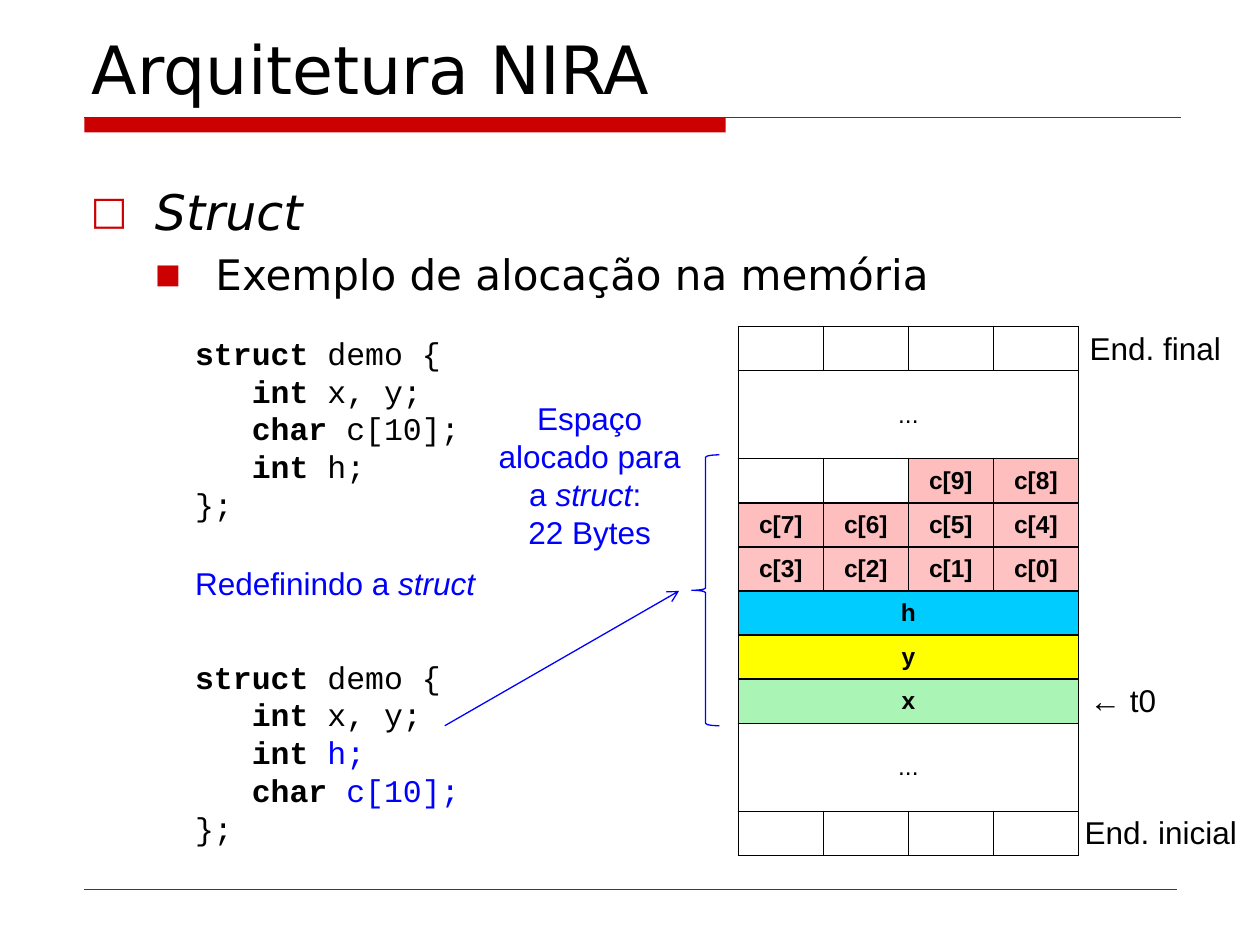
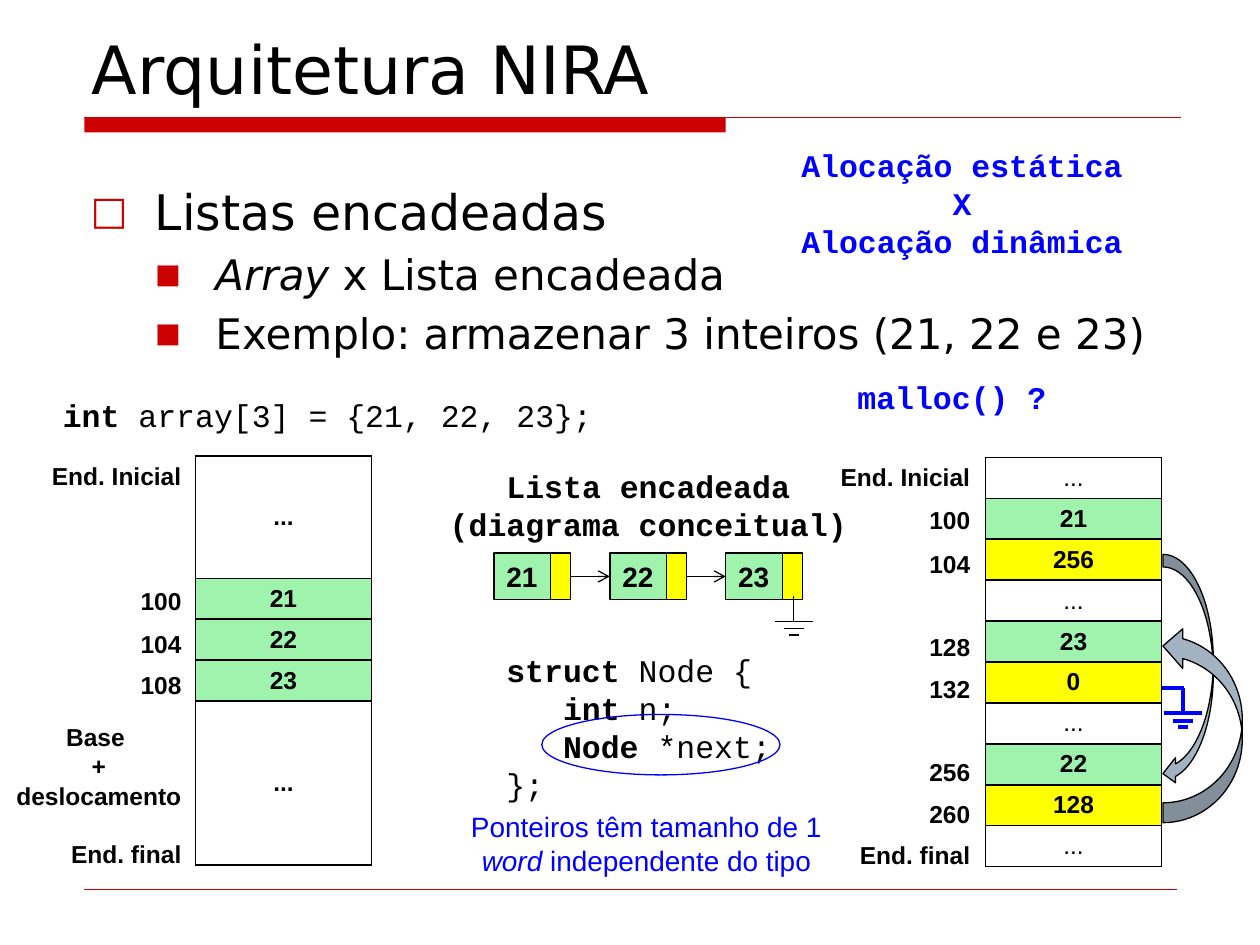
from dataclasses import dataclass

from lxml import etree
from pptx import Presentation
from pptx import util as u
from pptx.dml import color
from pptx.enum import shapes, text
from pptx.oxml import ns

ALIGN = {"l": text.PP_ALIGN.LEFT, "c": text.PP_ALIGN.CENTER, "r": text.PP_ALIGN.RIGHT}
TITLE = "Arquitetura NIRA"


@dataclass(frozen=True)
class Theme:
    # Colours
    ink: str = "000000"
    red: str = "CC0000"
    blue: str = "0000FF"
    yellow: str = "FFFF00"
    cyan: str = "00CCFF"
    mint: str = "AAF4B6"
    green: str = "9FF3AD"
    rose: str = "FFBEBE"
    pink: str = "FFC2C2"
    steel: str = "A3B2C1"
    # Fonts and sizes
    heading: str = "DejaVu Sans"
    sans: str = "Arial"
    mono: str = "Courier New"
    title: int = 38
    levels: tuple = (28, 24)
    main: int = 18
    note: int = 16
    small: int = 14
    # Bullets: character, percent of text, left margin, hanging indent
    bullets: tuple = (("□", 80, 0.51, -0.51), ("■", 65, 0.99, -0.48))
    code_indent: float = 0.45


def inches(*values):
    return [u.Inches(value) for value in values]


def rgb(value):
    return color.RGBColor.from_string(value)


def child(parent, tag, **attributes):
    return etree.SubElement(parent, ns.qn(tag), attributes)


class Page:
    def __init__(self, deck, theme, title, items):
        self.theme = theme
        self.slide = deck.slides.add_slide(deck.slide_layouts[1])
        self.shapes = self.slide.shapes
        # Red band and rules
        self.shape(shapes.MSO_SHAPE.RECTANGLE, (0.67, 0.93, 5.09, 0.12), theme.red, None)
        self.line((0.67, 0.93), (9.37, 0.93), theme.red)
        self.line((0.67, 7.06), (9.34, 7.06), theme.red, 0.25)
        self.heading(title)
        self.bullets(items)

    # Text
    def runs(self, para, parts, **style):
        """Each part is a string or (string, format values)."""
        for part in parts:
            words, extra = (part, {}) if isinstance(part, str) else part
            values = {"name": self.theme.sans, "size": self.theme.main,
                      "color": self.theme.ink, "bold": False, "italic": False,
                      **style, **extra}
            span = para.add_run()
            span.text = words
            span.font.color.rgb = rgb(values.pop("color"))
            values["size"] = u.Pt(values["size"])
            for name, value in values.items():
                setattr(span.font, name, value)

    def frame(self, box, paras, wrap=False, align="l", anchor="TOP", **style):
        frame = box.text_frame
        settings = {"word_wrap": wrap, "auto_size": text.MSO_AUTO_SIZE.NONE,
                    "vertical_anchor": getattr(text.MSO_ANCHOR, anchor)}
        for name, value in settings.items():
            setattr(frame, name, value)
        for index, parts in enumerate(paras):
            para = frame.add_paragraph() if index else frame.paragraphs[0]
            para.alignment = ALIGN[align]
            self.runs(para, parts, **style)
        return frame.paragraphs

    def place(self, box, at):
        box.left, box.top, box.width, box.height = inches(*at)

    def heading(self, title):
        box = self.shapes.title
        self.place(box, (0.63, 0.33, 8.75, 0.58))
        self.frame(box, [[title]], True, anchor="BOTTOM",
                   name=self.theme.heading, size=self.theme.title)

    def bullets(self, items):
        box = self.slide.placeholders[1]
        self.place(box, (0.62, 1.39, 9.25, 1.52))
        paras = self.frame(box, [[] for _ in items], True)
        for index, (para, parts) in enumerate(zip(paras, items)):
            level = min(index, 1)
            mark, percent, margin, hanging = self.theme.bullets[level]
            para.level = level
            self.runs(para, parts, name=self.theme.heading, size=self.theme.levels[level])
            props = para._p.get_or_add_pPr()
            props.set("marL", str(u.Inches(margin)))
            props.set("indent", str(u.Inches(hanging)))
            child(child(props, "a:buClr"), "a:srgbClr", val=self.theme.red)
            child(props, "a:buSzPct", val=str(percent * 1000))
            child(props, "a:buFont", typeface=self.theme.heading)
            child(props, "a:buChar", char=mark)

    def text(self, at, *paras, **options):
        box = self.shapes.add_textbox(*inches(*at))
        return self.frame(box, paras, **options)

    def code(self, at, lines):
        """Each line is depth, keyword, rest and, if wanted, the colour of the rest."""
        parts = [[(keyword, {"bold": True}), (rest, {"color": (tint or [self.theme.ink])[0]})]
                 if keyword else [rest] for _, keyword, rest, *tint in lines]
        paras = self.text(at, *parts, name=self.theme.mono)
        for para, line in zip(paras, lines):
            margin = u.Inches(line[0] * self.theme.code_indent)
            para._p.get_or_add_pPr().set("marL", str(margin))

    def label(self, right, top, words):
        width = {"End. Inicial": 1.23, "End. final": 1.08}.get(words, 0.53)
        self.text((right - width, top, width, 0.34), [words], align="r",
                  size=self.theme.small, bold=True)

    # Shapes and lines
    def shape(self, kind, at, fill=None, line="000000", flip=False):
        box = self.shapes.add_shape(kind, *inches(*at))
        box.shadow.inherit = False
        if fill:
            box.fill.solid()
            box.fill.fore_color.rgb = rgb(fill)
        else:
            box.fill.background()
        if line:
            box.line.color.rgb = rgb(line)
            box.line.width = u.Pt(0.75)
        else:
            box.line.fill.background()
        if flip:
            box._element.spPr.get_or_add_xfrm().set("flipV", "1")
        return box

    def line(self, start, end, tint="000000", width=0.75, arrow=False):
        line = self.shapes.add_connector(shapes.MSO_CONNECTOR.STRAIGHT, *inches(*start, *end))
        line.line.color.rgb = rgb(tint)
        line.line.width = u.Pt(width)
        if arrow:
            child(line.line._get_or_add_ln(), "a:tailEnd", type="arrow")
        child(line._element.spPr, "a:effectLst")
        return line

    def ground(self, x, y, tint, width):
        """Symbol that ends a linked list."""
        self.line((x, y), (x, y + 0.2), tint, width)
        for drop, half in ((0.2, 0.15), (0.26, 0.08), (0.31, 0.04)):
            self.line((x - half, y + drop), (x + half, y + drop), tint, width)

    # Memory maps
    def memory(self, at, columns, rows, bold_dots=False):
        """Each row is height and cells; a cell is (text, fill). A lone cell spans the row."""
        left, top, width = at
        height = sum(row[0] for row in rows)
        table = self.shapes.add_table(len(rows), columns,
                                      *inches(left, top, width, height)).table
        table.first_row = table.horz_banding = False
        for column in table.columns:
            column.width = u.Inches(width / columns)
        for y, (row_height, cells) in enumerate(rows):
            table.rows[y].height = u.Inches(row_height)
            if len(cells) < columns:
                table.cell(y, 0).merge(table.cell(y, columns - 1))
            padded = cells + [("", None)] * (columns - len(cells))
            for x, (words, fill) in enumerate(padded):
                self.cell(table.cell(y, x), words, fill, bold_dots or words != "...")

    def cell(self, cell, words, fill, bold):
        if fill:
            cell.fill.solid()
            cell.fill.fore_color.rgb = rgb(fill)
        else:
            cell.fill.background()
        cell.vertical_anchor = text.MSO_ANCHOR.MIDDLE
        if words:
            para = cell.text_frame.paragraphs[0]
            para.alignment = ALIGN["c"]
            self.runs(para, [words], size=self.theme.small, bold=bold)
        else:
            cell.margin_top = cell.margin_bottom = 0
        props = cell._tc.get_or_add_tcPr()
        for index, side in enumerate(("a:lnL", "a:lnR", "a:lnT", "a:lnB")):
            border = etree.Element(ns.qn(side), w=str(u.Pt(1)))
            child(child(border, "a:solidFill"), "a:srgbClr", val=self.theme.ink)
            props.insert(index, border)


def struct_page(deck, theme):
    italic = {"italic": True}
    page = Page(deck, theme, TITLE,
                [[("Struct", italic)], ["Exemplo de alocação na memória"]])
    # Both declarations
    opening = [(0, "struct", " demo {"), (1, "int", " x, y;")]
    closing = [(0, "", "};")]
    page.code((1.45, 2.6, 2.9, 1.62),
              opening + [(1, "char", " c[10];"), (1, "int", " h;")] + closing)
    page.code((1.45, 5.17, 2.9, 1.62),
              opening + [(1, "int", " h;", theme.blue),
                         (1, "char", " c[10];", theme.blue)] + closing)
    page.text((1.45, 4.43, 2.45, 0.4), ["Redefinindo a ", ("struct", italic)], color=theme.blue)

    # Memory map
    def chars(*indexes):
        return [(f"c[{i}]", theme.rose if i > 5 else theme.pink) for i in indexes]

    blank = ("", None)
    edge, gap = (0.35, [blank] * 4), (0.7, [("...", None)])
    fields = [(0.35, [field]) for field in
              (("h", theme.cyan), ("y", theme.yellow), ("x", theme.mint))]
    page.memory((5.86, 2.59, 2.7), 4, [
        edge, gap, (0.35, [blank] * 2 + chars(9, 8)), (0.35, chars(7, 6, 5, 4)),
        (0.35, chars(3, 2, 1, 0)), *fields, gap, edge])
    for at, words in (((8.51, 6.4, 1.42, 0.4), "End. inicial"),
                      ((8.55, 2.56, 1.25, 0.4), "End. final"),
                      ((8.55, 5.36, 0.73, 0.4), "← t0")):
        page.text(at, [words])

    # Allocated space
    page.shape(shapes.MSO_SHAPE.LEFT_BRACE, (5.49, 3.61, 0.22, 2.15), line=theme.blue)
    page.line((3.53, 5.76), (5.39, 4.69), theme.blue, arrow=True)
    page.text((3.76, 3.12, 1.84, 1.31),
              ["Espaço alocado para a ", ("struct", italic), ": "], ["22 Bytes"],
              wrap=True, align="c", color=theme.blue)


def list_page(deck, theme):
    italic = {"italic": True}
    page = Page(deck, theme, TITLE, [
        ["Listas encadeadas"], [("Array", italic), " x Lista encadeada"],
        ["Exemplo: armazenar 3 inteiros (21, 22 e 23)"]])
    strong = {"name": theme.mono, "bold": True, "align": "c"}

    # Memory of the list and of the array
    def row(words, height=3.25 / 10):
        fill = (None if words == "..." else
                theme.green if words in ("21", "22", "23") else theme.yellow)
        return height, [(words, fill)]

    page.memory((7.82, 3.63, 1.4), 1, [row(words) for words in (
        "...", "21", "256", "...", "23", "0", "...", "22", "128", "...")])
    page.memory((1.55, 3.62, 1.4), 1,
                [row("...", 0.97), row("21"), row("22"), row("23"), row("...", 1.3)],
                bold_dots=True)

    # Addresses
    addresses = {
        1.54: ((3.61, "End. Inicial"), (4.6, "100"), (4.94, "104"), (5.27, "108"),
               (6.61, "End. final")),
        7.8: ((3.62, "End. Inicial"), (3.96, "100"), (4.31, "104"), (4.97, "128"),
              (5.3, "132"), (5.96, "256"), (6.29, "260"), (6.62, "End. final"))}
    for right, labels in addresses.items():
        for top, words in labels:
            page.label(right, top, words)
    page.text((0.03, 5.68, 1.51, 0.81), ["Base "], ["+ deslocamento"],
              wrap=True, align="c", size=theme.small, bold=True)

    # Code and remarks
    page.code((0.4, 3.09, 4.42, 0.4), [(0, "int", " array[3] = {21, 22, 23};")])
    page.code((3.92, 5.12, 2.51, 1.31), [
        (0, "struct ", "Node {"), (1, "int", " n;"), (1, "Node ", "*next;"), (0, "", "};")])
    page.text((6.58, 2.95, 1.95, 0.4), ["malloc() ?"], color=theme.blue, **strong)
    page.text((6.05, 1.11, 3.17, 1.01), ["Alocação estática"], ["X"], ["Alocação dinâmica"],
              color=theme.blue, **strong)
    page.text((3.46, 3.66, 3.37, 0.71), ["Lista encadeada"], ["(diagrama conceitual)"], **strong)

    # Pointers between memory cells
    arrow = shapes.MSO_SHAPE.CURVED_LEFT_ARROW
    page.shape(arrow, (9.23, 4.4, 0.4, 1.84), theme.steel)
    page.shape(arrow, (9.23, 4.97, 0.63, 1.56), theme.steel, flip=True)
    page.line((9.4, 5.46), (9.22, 5.46), theme.blue, 2.25)
    page.ground(9.39, 5.46, theme.blue, 2.25)

    # Linked nodes
    box = shapes.MSO_SHAPE.RECTANGLE
    pointer = None
    for index, number in enumerate(("21", "22", "23")):
        left = 3.92 + 0.92 * index
        value = page.shape(box, (left, 4.39, 0.45, 0.37), theme.green)
        page.frame(value, [[number]], anchor="MIDDLE", size=theme.note, bold=True)
        if pointer:
            link = page.line((left - 0.31, 4.57), (left, 4.57), arrow=True)
            link.begin_connect(pointer, 3)
            link.end_connect(value, 1)
        pointer = page.shape(box, (left + 0.45, 4.39, 0.16, 0.37), theme.yellow)
    page.ground(6.3, 4.73, theme.ink, 0.75)

    # Pointer size
    page.text((3.52, 6.38, 3.22, 0.64),
              ["Ponteiros têm tamanho de 1 ", ("word", italic), " independente do tipo"],
              wrap=True, align="c", size=theme.note, color=theme.blue)
    page.shape(shapes.MSO_SHAPE.OVAL, (4.3, 5.67, 1.89, 0.48), line=theme.blue)


def main():
    deck = Presentation()
    deck.slide_width, deck.slide_height = inches(10, 7.5)
    theme = Theme()
    struct_page(deck, theme)
    list_page(deck, theme)
    deck.save("out.pptx")


if __name__ == "__main__":
    main()
